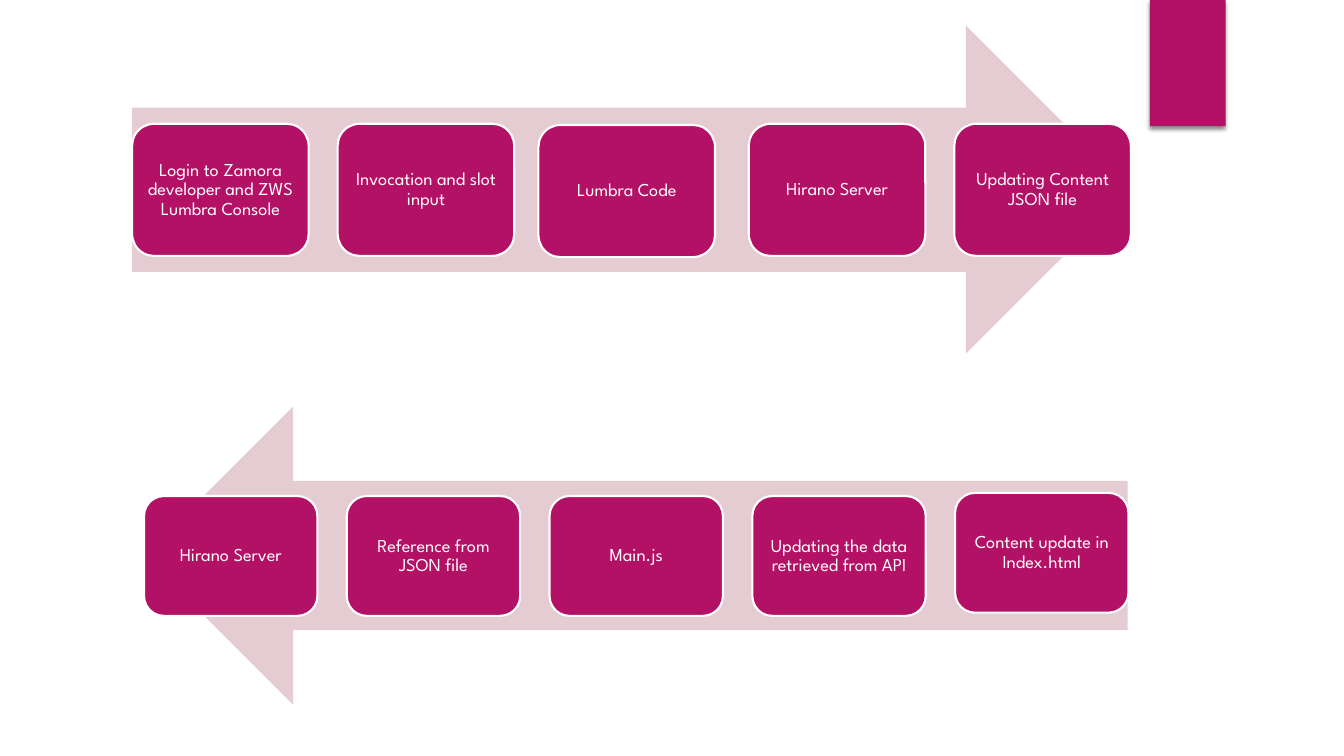
from dataclasses import dataclass

import lxml.etree
import pptx
import pptx.dml.color
import pptx.enum.shapes
import pptx.enum.text
import pptx.oxml.ns
import pptx.shapes.autoshape
import pptx.slide
import pptx.util
from pptx.util import Cm

Color = pptx.dml.color.RGBColor
Preset = pptx.enum.shapes.MSO_SHAPE


@dataclass(frozen=True)
class Theme:
    accent: Color = Color(0xB3, 0x11, 0x66)
    pale: Color = Color(0xE5, 0xCC, 0xD3)
    white: Color = Color(0xFF, 0xFF, 0xFF)
    font: str = "League Spartan"
    step_size: float = 13
    outline: float = 1.5
    line_spacing: float = 0.9
    inset: float = 0.13


@dataclass(frozen=True)
class Frame:
    """Position and size in centimetres."""
    left: float
    top: float
    width: float
    height: float


@dataclass(frozen=True)
class Step:
    text: str
    shift_x: float = 0
    shift_y: float = 0


@dataclass(frozen=True)
class Flow:
    """A wide arrow with steps at equal pitch, starting at first_step."""
    arrow: Frame
    rotation: float
    first_step: Frame
    pitch: float
    steps: tuple[Step, ...]


THEME = Theme()
TAG = Frame(28.98, 0, 1.91, 3.18)
FLOWS = (
    Flow(
        arrow=Frame(3.33, 0.64, 25.15, 8.28),
        rotation=0,
        first_step=Frame(3.33, 3.12, 4.45, 3.33),
        pitch=5.18,
        steps=(
            Step("Login to Zamora developer and ZWS Lumbra Console"),
            Step("Invocation and slot input"),
            Step("Lumbra Code", shift_x=-0.12, shift_y=0.03),
            Step("Hirano Server"),
            Step("Updating Content JSON file"),
        ),
    ),
    Flow(
        arrow=Frame(3.63, 10.24, 24.79, 7.52),
        rotation=180,
        first_step=Frame(3.63, 12.5, 4.37, 3.02),
        pitch=5.11,
        steps=(
            Step("Hirano Server"),
            Step("Reference from JSON file"),
            Step("Main.js"),
            Step("Updating the data retrieved from API"),
            Step("Content update in Index.html", shift_y=-0.08),
        ),
    ),
)


def add_filled_shape(page: pptx.slide.Slide, preset: Preset, frame: Frame,
                     fill: Color) -> pptx.shapes.autoshape.Shape:
    """Add a shape with a plain fill, no line and no shadow."""
    shape = page.shapes.add_shape(preset, Cm(frame.left), Cm(frame.top),
                                  Cm(frame.width), Cm(frame.height))
    shape.shadow.inherit = False
    shape.fill.solid()
    shape.fill.fore_color.rgb = fill
    shape.line.fill.background()
    return shape


def add_tag(page: pptx.slide.Slide) -> None:
    """Add the corner tag with its soft shadow below."""
    tag = add_filled_shape(page, Preset.RECTANGLE, TAG, THEME.accent)
    qn = pptx.oxml.ns.qn
    effects = tag._element.spPr.find(qn("a:effectLst"))
    shadow = lxml.etree.SubElement(
        effects, qn("a:outerShdw"), blurRad=str(pptx.util.Pt(3)),
        dist=str(pptx.util.Pt(2)), dir="5400000", rotWithShape="0")
    black = lxml.etree.SubElement(shadow, qn("a:srgbClr"), val="000000")
    lxml.etree.SubElement(black, qn("a:alpha"), val="45000")


def add_step(page: pptx.slide.Slide, frame: Frame, text: str) -> None:
    box = add_filled_shape(page, Preset.ROUNDED_RECTANGLE, frame, THEME.accent)
    box.line.color.rgb = THEME.white
    box.line.width = pptx.util.Pt(THEME.outline)

    body = box.text_frame
    body.word_wrap = True
    body.vertical_anchor = pptx.enum.text.MSO_ANCHOR.MIDDLE
    body.margin_left = body.margin_right = Cm(THEME.inset)
    body.margin_top = body.margin_bottom = Cm(THEME.inset)

    para = body.paragraphs[0]
    para.text = text
    para.alignment = pptx.enum.text.PP_ALIGN.CENTER
    para.line_spacing = THEME.line_spacing
    para.font.name = THEME.font
    para.font.size = pptx.util.Pt(THEME.step_size)
    para.font.color.rgb = THEME.white


def add_flow(page: pptx.slide.Slide, flow: Flow) -> None:
    arrow = add_filled_shape(page, Preset.RIGHT_ARROW, flow.arrow, THEME.pale)
    arrow.rotation = flow.rotation
    first = flow.first_step
    for index, step in enumerate(flow.steps):
        frame = Frame(first.left + index * flow.pitch + step.shift_x,
                      first.top + step.shift_y, first.width, first.height)
        add_step(page, frame, step.text)


def main() -> None:
    deck = pptx.Presentation()
    deck.slide_width, deck.slide_height = Cm(33.87), Cm(19.05)
    page = deck.slides.add_slide(deck.slide_layouts.get_by_name("Blank"))
    add_tag(page)
    for flow in FLOWS:
        add_flow(page, flow)
    deck.save("out.pptx")


if __name__ == "__main__":
    main()
